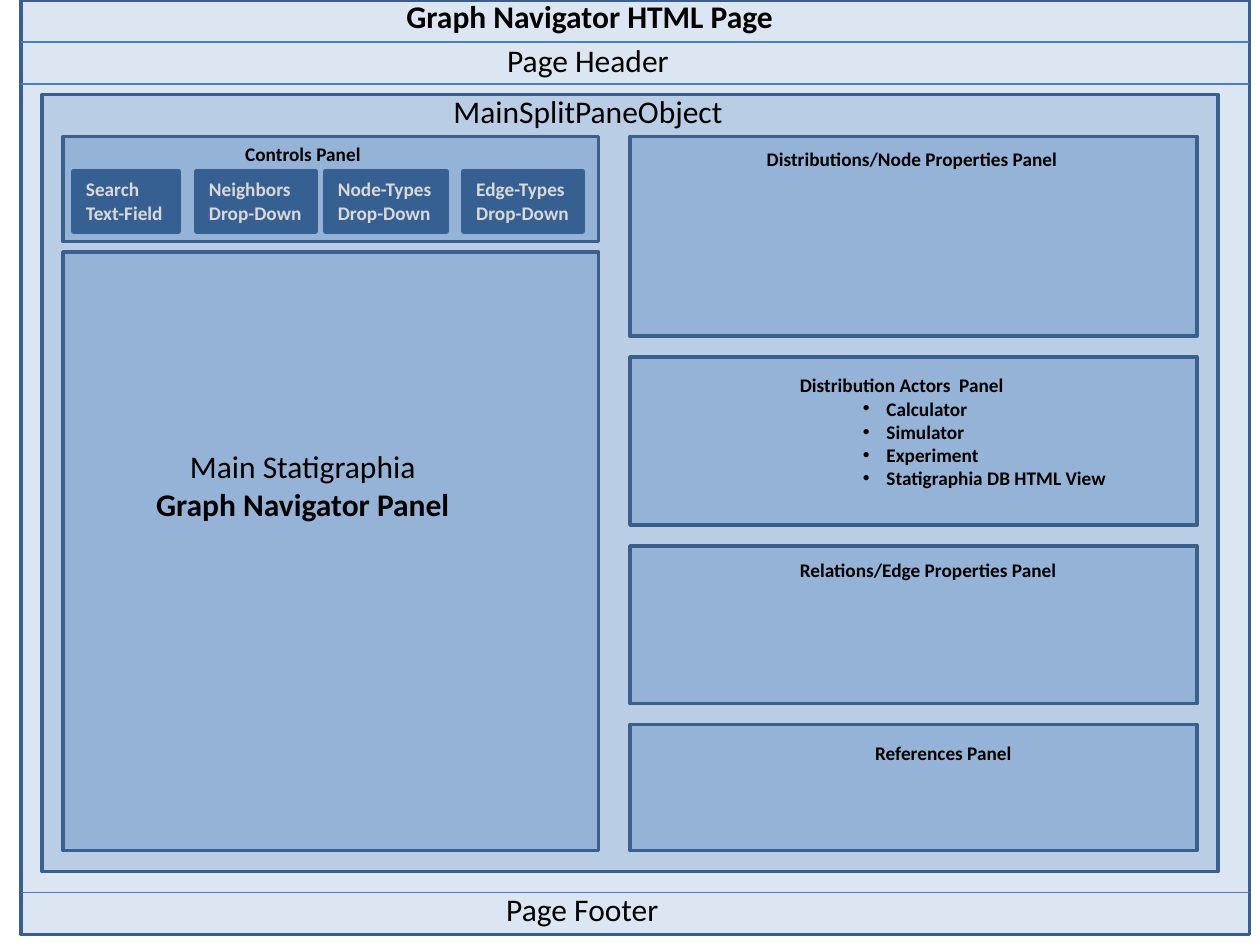
from lxml.etree import SubElement
from pptx import Presentation
from pptx.dml.color import RGBColor
from pptx.enum.shapes import MSO_CONNECTOR as Connector, MSO_SHAPE as Shape
from pptx.enum.text import MSO_ANCHOR as Anchor, MSO_AUTO_SIZE as AutoSize, PP_ALIGN as Align
from pptx.oxml.ns import qn
from pptx.util import Pt

FONT = "Calibri"
PAGE_FILL = RGBColor(0xDC, 0xE6, 0xF2)
PANE_FILL = RGBColor(0xB9, 0xCD, 0xE5)
PANEL_FILL = RGBColor(0x95, 0xB3, 0xD7)
BORDER = RGBColor(0x3A, 0x5F, 0x8C)
CONTROL_FILL = RGBColor(0x37, 0x60, 0x92)
CONTROL_TEXT = RGBColor(0xD9, 0xD9, 0xD9)
RULE = RGBColor(0x4B, 0x7E, 0xBC)
BLACK = RGBColor(0, 0, 0)
LARGE, SMALL = 18, 11

# Content: all lengths in points
PAGE = (12, 0, 702, 534)
MAIN_PANE = (24, 54, 672, 444)
LEFT_X, LEFT_WIDTH, LEFT_GAP, LEFT_HEIGHTS = 36, 306, 6, (60, 342)
RIGHT_X, RIGHT_WIDTH, RIGHT_GAP, RIGHT_HEIGHTS = 360, 324, 12, (114, 96, 90, 72)
PANELS_TOP = 78
RULE_TOPS = (24, 48, 510)

CONTROLS_TOP, CONTROLS_HEIGHT = 98, 34
CONTROLS = [  # left, width, lines
    (42, 60, ["Search", "Text-Field"]),
    (112.3, 68, ["Neighbors", "Drop-Down"]),
    (186, 69, ["Node-Types", "Drop-Down"]),
    (265, 68, ["Edge-Types", "Drop-Down"]),
]

TITLE = ("Graph Navigator HTML Page", (224, -5.3, 226, 29))
LARGE_LABELS = [  # text, frame
    ("Page Header", (282, 20, 108, 29)),
    ("MainSplitPaneObject", (251, 49, 170, 29)),
    ("Page Footer", (281.8, 505, 102, 29)),
]
NAVIGATOR = (["Main Statigraphia", "Graph Navigator Panel"], (81, 252, 184, 51))
PANEL_LABELS = [
    ("Controls Panel", (133, 78, 81, 21)),
    ("Distributions/Node Properties Panel", (431, 80.5, 182, 21)),
    ("Relations/Edge Properties Panel", (450, 315.5, 163, 21)),
    ("References Panel", (493, 420, 94, 21)),
]
ACTORS = (
    ["Distribution Actors  Panel", "Calculator", "Simulator", "Experiment",
     "Statigraphia DB HTML View"],
    (450, 210, 197, 74),
)


def place(shape, frame):
    shape.left, shape.top, shape.width, shape.height = map(Pt, frame)


def add_box(frame, fill, line=BORDER, width=2):
    box = page.shapes.add_shape(Shape.RECTANGLE, *map(Pt, frame))
    box.shadow.inherit = False
    box.fill.solid()
    box.fill.fore_color.rgb = fill
    box.line.color.rgb = line
    box.line.width = Pt(width)
    return box


def write(shape, lines, size, bold=False, color=BLACK, align=Align.LEFT):
    text_frame = shape.text_frame
    text_frame.text = "\n".join(lines)
    text_frame.word_wrap = False
    text_frame.auto_size = AutoSize.SHAPE_TO_FIT_TEXT
    text_frame.vertical_anchor = Anchor.TOP
    for para in text_frame.paragraphs:
        para.alignment = align
        for span in para.runs:
            span.font.name = FONT
            span.font.size = Pt(size)
            span.font.bold = bold
            span.font.color.rgb = color
    return text_frame.paragraphs


def add_label(lines, frame, size, **style):
    return write(page.shapes.add_textbox(*map(Pt, frame)), lines, size, **style)


def add_panel_column(left, width, heights, gap):
    top = PANELS_TOP
    for height in heights:
        add_box((left, top, width, height), PANEL_FILL)
        top += height + gap


def add_bullet(para):
    para.level = 1
    properties = para._p.get_or_add_pPr()
    properties.set("marL", str(Pt(49.5)))
    properties.set("indent", str(Pt(-13.5)))
    SubElement(properties, qn("a:buFont"), typeface="Arial")
    SubElement(properties, qn("a:buChar"), char="•")


deck = Presentation()
deck.slide_width, deck.slide_height = Pt(720), Pt(540)
page = deck.slides.add_slide(deck.slide_layouts[5])

# Nested frames and panels
add_box(PAGE, PAGE_FILL)
add_box(MAIN_PANE, PANE_FILL)
add_panel_column(LEFT_X, LEFT_WIDTH, LEFT_HEIGHTS, LEFT_GAP)
add_panel_column(RIGHT_X, RIGHT_WIDTH, RIGHT_HEIGHTS, RIGHT_GAP)

# Controls
for left, width, lines in CONTROLS:
    control = add_box((left, CONTROLS_TOP, width, CONTROLS_HEIGHT),
                      CONTROL_FILL, CONTROL_FILL, 3)
    write(control, lines, SMALL, bold=True, color=CONTROL_TEXT)

# Header and footer rules
for top in RULE_TOPS:
    rule = page.shapes.add_connector(
        Connector.STRAIGHT, Pt(PAGE[0]), Pt(top), Pt(PAGE[0] + PAGE[2]), Pt(top))
    rule.line.color.rgb = RULE
    rule.line.width = Pt(0.75)
    SubElement(rule.element.spPr, qn("a:effectLst"))

# Title, brought in front of the page frame
title = page.shapes.title
title.element.getparent().append(title.element)
place(title, TITLE[1])
write(title, [TITLE[0]], LARGE, bold=True, align=Align.CENTER)

# Labels
for text, frame in LARGE_LABELS:
    add_label([text], frame, LARGE, align=Align.CENTER)
for text, frame in PANEL_LABELS:
    add_label([text], frame, SMALL, bold=True)
navigator_paras = add_label(*NAVIGATOR, LARGE, align=Align.CENTER)
navigator_paras[1].runs[0].font.bold = True
for para in add_label(*ACTORS, SMALL, bold=True)[1:]:
    add_bullet(para)

deck.save("out.pptx")
